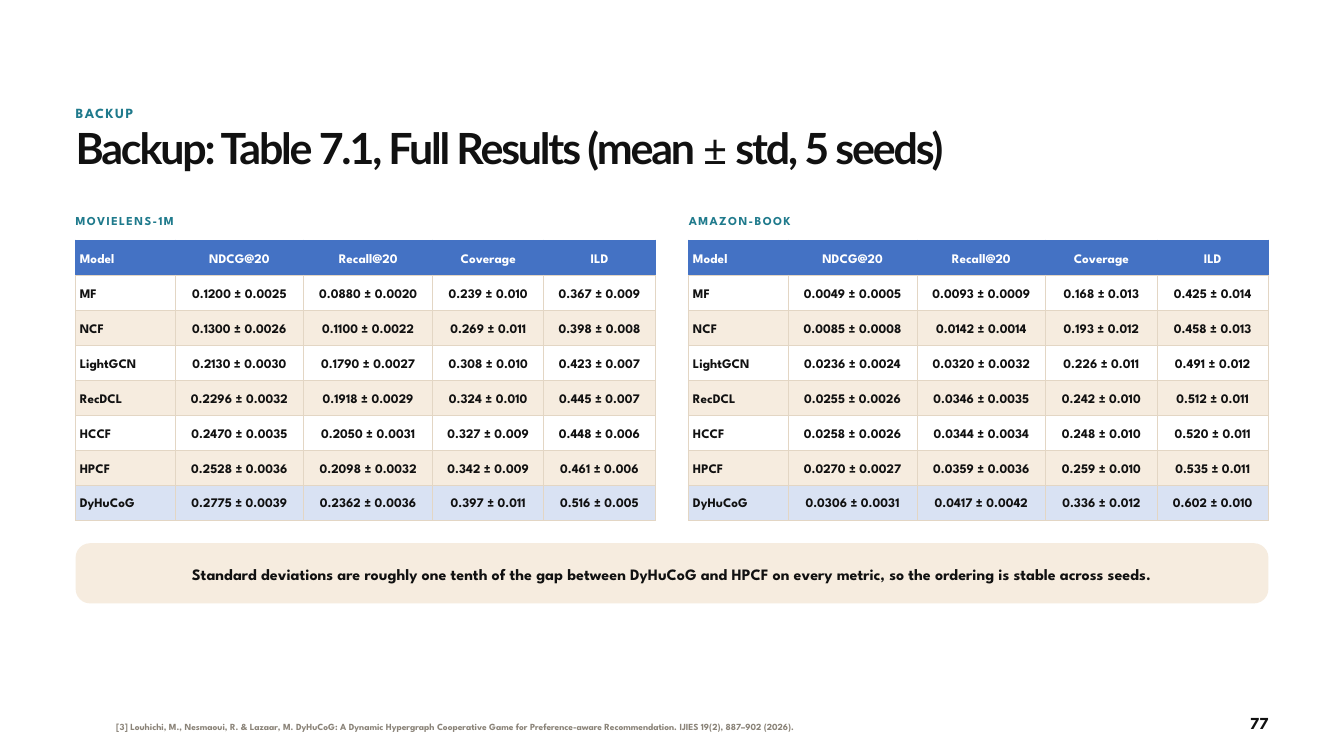
"""Builds the backup slide with the full results on two data sets."""
from dataclasses import dataclass

from lxml.etree import SubElement
from pptx import Presentation
from pptx.dml.color import RGBColor
from pptx.enum.shapes import MSO_SHAPE
from pptx.enum.text import MSO_ANCHOR, PP_ALIGN
from pptx.oxml.ns import qn
from pptx.slide import Slide
from pptx.table import _Cell
from pptx.text.text import TextFrame, _Paragraph
from pptx.util import Emu, Pt

PX = 9525
INK = RGBColor(0x11, 0x11, 0x11)
WHITE = RGBColor(0xFF, 0xFF, 0xFF)
TEAL = RGBColor(0x1F, 0x7A, 0x8C)
GREY = RGBColor(0x8A, 0x83, 0x78)
BLUE = RGBColor(0x44, 0x72, 0xC4)
PALE_BLUE = RGBColor(0xD9, 0xE2, 0xF3)
CREAM = RGBColor(0xF6, 0xEC, 0xDF)
TAN = RGBColor(0xE3, 0xD6, 0xC4)

LEFT, WIDTH = 108, 1704
LABEL_TOP, TABLE_TOP, ROW_HEIGHT = 304, 343, 50
COLUMNS = (142, 184, 184, 159, 159)
HEADER = ("Model", "NDCG@20", "Recall@20", "Coverage", "ILD")


@dataclass(frozen=True)
class Style:
    size: int
    leading: float
    color: RGBColor
    font: str = "League Spartan"
    align: PP_ALIGN = PP_ALIGN.LEFT
    tracking: float = 0


@dataclass(frozen=True)
class Results:
    label: str
    left: int
    rows: tuple[tuple[str, ...], ...]


KICKER = Style(15, 20, TEAL, tracking=1.6)
TITLE = Style(46, 50.6, INK, "Lato", tracking=-2.3)
LABEL = Style(13, 16, TEAL, tracking=1.5)
CALLOUT = Style(17, 22, INK, align=PP_ALIGN.CENTER)
REFERENCE = Style(10, 12, GREY)
NUMBER = Style(18, 22, INK, align=PP_ALIGN.RIGHT)

RESULTS = (
    Results("MOVIELENS-1M", LEFT, (
        ("MF", "0.1200 ± 0.0025", "0.0880 ± 0.0020", "0.239 ± 0.010", "0.367 ± 0.009"),
        ("NCF", "0.1300 ± 0.0026", "0.1100 ± 0.0022", "0.269 ± 0.011", "0.398 ± 0.008"),
        ("LightGCN", "0.2130 ± 0.0030", "0.1790 ± 0.0027", "0.308 ± 0.010", "0.423 ± 0.007"),
        ("RecDCL", "0.2296 ± 0.0032", "0.1918 ± 0.0029", "0.324 ± 0.010", "0.445 ± 0.007"),
        ("HCCF", "0.2470 ± 0.0035", "0.2050 ± 0.0031", "0.327 ± 0.009", "0.448 ± 0.006"),
        ("HPCF", "0.2528 ± 0.0036", "0.2098 ± 0.0032", "0.342 ± 0.009", "0.461 ± 0.006"),
        ("DyHuCoG", "0.2775 ± 0.0039", "0.2362 ± 0.0036", "0.397 ± 0.011", "0.516 ± 0.005"),
    )),
    Results("AMAZON-BOOK", LEFT + WIDTH - sum(COLUMNS), (
        ("MF", "0.0049 ± 0.0005", "0.0093 ± 0.0009", "0.168 ± 0.013", "0.425 ± 0.014"),
        ("NCF", "0.0085 ± 0.0008", "0.0142 ± 0.0014", "0.193 ± 0.012", "0.458 ± 0.013"),
        ("LightGCN", "0.0236 ± 0.0024", "0.0320 ± 0.0032", "0.226 ± 0.011", "0.491 ± 0.012"),
        ("RecDCL", "0.0255 ± 0.0026", "0.0346 ± 0.0035", "0.242 ± 0.010", "0.512 ± 0.011"),
        ("HCCF", "0.0258 ± 0.0026", "0.0344 ± 0.0034", "0.248 ± 0.010", "0.520 ± 0.011"),
        ("HPCF", "0.0270 ± 0.0027", "0.0359 ± 0.0036", "0.259 ± 0.010", "0.535 ± 0.011"),
        ("DyHuCoG", "0.0306 ± 0.0031", "0.0417 ± 0.0042", "0.336 ± 0.012", "0.602 ± 0.010"),
    )),
)


def px(*lengths: int) -> list[Emu]:
    return [Emu(n * PX) for n in lengths]


def set_margins(target: TextFrame | _Cell, x: int, y: int) -> None:
    target.margin_left, target.margin_right = px(x, x)
    target.margin_top, target.margin_bottom = px(y, y)


def write(p: _Paragraph, style: Style, *texts: str) -> None:
    p.alignment = style.align
    p.line_spacing = Pt(style.leading)
    p.font.size = Pt(style.size)
    p.font.name = style.font
    p.font.bold = True
    p.font.color.rgb = style.color
    if style.tracking:
        p._p.pPr.get_or_add_defRPr().set("spc", str(round(style.tracking * 100)))
    for text in texts:
        r = p.add_run()
        r.text = text
        if text.startswith("±"):
            r.font.name = "Times New Roman"


def add_text(s: Slide, box: tuple[int, int, int, int], style: Style, *texts: str,
             anchor: MSO_ANCHOR = MSO_ANCHOR.TOP) -> None:
    tf = s.shapes.add_textbox(*px(*box)).text_frame
    tf.word_wrap = True
    tf.vertical_anchor = anchor
    set_margins(tf, 0, 0)
    write(tf.paragraphs[0], style, *texts)


def set_borders(cell: _Cell, color: RGBColor) -> None:
    tc_pr = cell._tc.get_or_add_tcPr()
    for side in ("a:lnL", "a:lnR", "a:lnT", "a:lnB"):
        ln = SubElement(tc_pr, qn(side), w=str(Pt(1)))
        fill = SubElement(ln, qn("a:solidFill"))
        SubElement(fill, qn("a:srgbClr"), val=str(color))


def row_fill(i: int, last: int) -> RGBColor:
    if i == 0:
        return BLUE
    if i == last:
        return PALE_BLUE
    return WHITE if i % 2 else CREAM


def add_results(s: Slide, results: Results) -> None:
    width = sum(COLUMNS)
    add_text(s, (results.left, LABEL_TOP, width, 34), LABEL, results.label)
    rows = (HEADER, *results.rows)
    box = px(results.left, TABLE_TOP, width, ROW_HEIGHT * len(rows))
    table = s.shapes.add_table(len(rows), len(COLUMNS), *box).table
    table.first_row = table.horz_banding = False
    for column, column_width in zip(table.columns, px(*COLUMNS)):
        column.width = column_width
    for i, row in enumerate(rows):
        for j, text in enumerate(row):
            cell = table.cell(i, j)
            set_borders(cell, TAN if i else BLUE)
            cell.fill.solid()
            cell.fill.fore_color.rgb = row_fill(i, len(rows) - 1)
            cell.vertical_anchor = MSO_ANCHOR.MIDDLE
            set_margins(cell, 6, 5)
            align = PP_ALIGN.CENTER if j else PP_ALIGN.LEFT
            style = Style(14, 18.2, INK if i else WHITE, align=align)
            write(cell.text_frame.paragraphs[0], style, text)


def add_callout(s: Slide, text: str) -> None:
    sp = s.shapes.add_shape(MSO_SHAPE.ROUNDED_RECTANGLE, *px(LEFT, 776, WIDTH, 86))
    sp.adjustments[0] = 0.24
    sp.shadow.inherit = False
    sp.fill.solid()
    sp.fill.fore_color.rgb = CREAM
    sp.line.fill.background()
    tf = sp.text_frame
    tf.word_wrap = True
    tf.vertical_anchor = MSO_ANCHOR.MIDDLE
    set_margins(tf, 38, 5)
    write(tf.paragraphs[0], CALLOUT, text)


def main() -> None:
    prs = Presentation()
    prs.slide_width, prs.slide_height = px(1920, 1080)
    s = prs.slides.add_slide(prs.slide_layouts[6])
    add_text(s, (LEFT, 146, 1358, 35), KICKER, "BACKUP")
    add_text(s, (LEFT, 180, WIDTH, 77), TITLE,
             "Backup: Table 7.1, Full Results (mean ", "± ", "std, 5 seeds)")
    for results in RESULTS:
        add_results(s, results)
    add_callout(s, "Standard deviations are roughly one tenth of the gap between DyHuCoG and "
                   "HPCF on every metric, so the ordering is stable across seeds.")
    add_text(s, (166, 1008, 1522, 60), REFERENCE,
             "[3] Louhichi, M., Nesmaoui, R. & Lazaar, M. DyHuCoG: A Dynamic Hypergraph "
             "Cooperative Game for Preference-aware Recommendation. "
             "IJIES 19(2), 887–902 (2026).", anchor=MSO_ANCHOR.MIDDLE)
    add_text(s, (1697, 1018, 115, 35), NUMBER, "77")
    prs.save("out.pptx")


if __name__ == "__main__":
    main()
